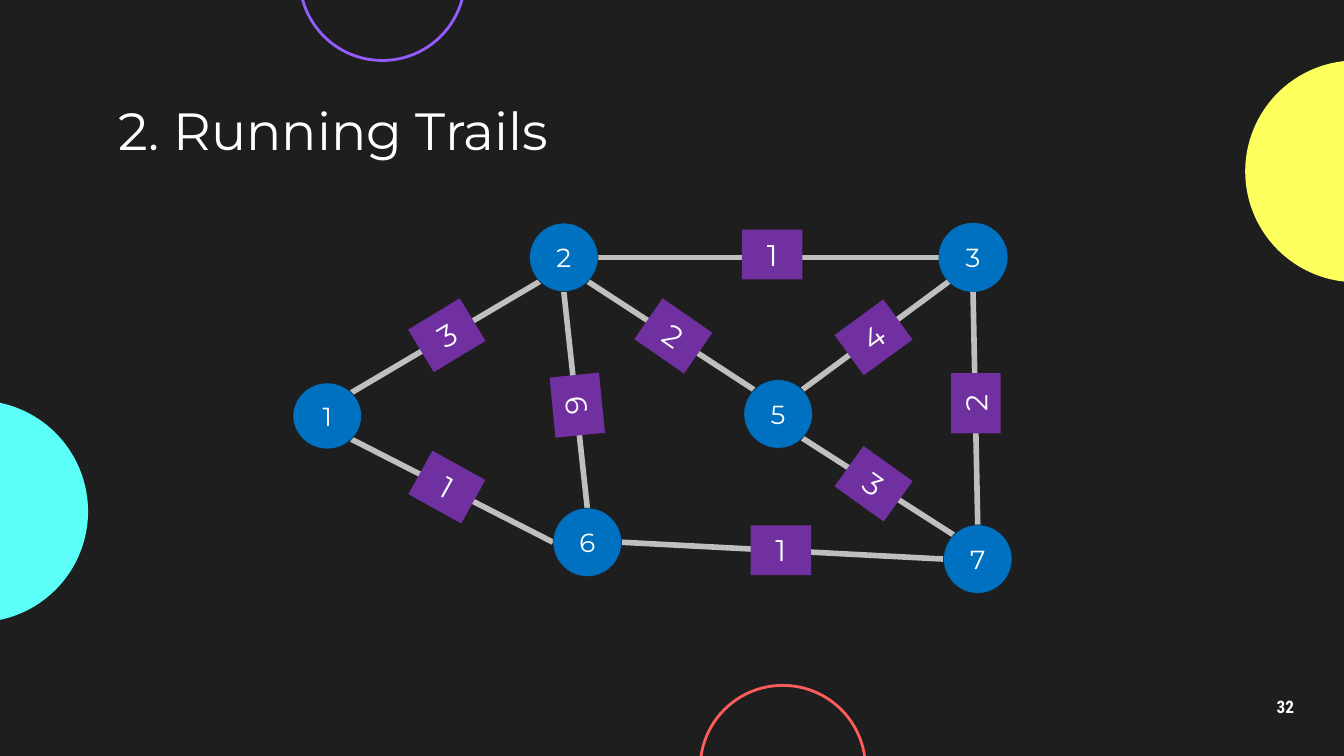
from lxml import etree
from pptx import Presentation
from pptx import util as u
from pptx.dml.color import RGBColor
from pptx.enum import shapes, text
from pptx.oxml.ns import qn

SCALE = 4572
SLIDE = (0, 0, 2000, 1125)
NODE = 102
LABEL_SIZE = (90, 74)
WHITE, DARK, BLUE, PURPLE, GRAY = "FFFFFF", "1E1E1E", "0070C0", "7030A0", "BFBFBF"

DIAGONAL = 0.5 ** 0.5
COMPASS = {
    "N": (0, -1), "S": (0, 1), "W": (-1, 0), "E": (1, 0),
    "NW": (-DIAGONAL, -DIAGONAL), "NE": (DIAGONAL, -DIAGONAL),
    "SW": (-DIAGONAL, DIAGONAL), "SE": (DIAGONAL, DIAGONAL),
}

NODES = {
    "1": (1, 238, NODE, 98),
    "2": (353, 0, NODE, NODE),
    "3": (962, 0, NODE, NODE),
    "5": (672, 233, NODE, NODE),
    "6": (388, 424, NODE, NODE),
    "7": (969, 449, NODE, NODE),
}

TRAILS = [
    ("1", "SE", "6", "W", "1", (185, 356), 29),
    ("6", "N", "2", "S", "6", (379, 234), 84.3),
    ("2", "SE", "5", "NW", "2", (522, 131), 34.7),
    ("3", "W", "2", "E", "1", (669, 10), 0),
    ("3", "SW", "5", "NE", "4", (820, 133), 323.9),
    ("3", "S", "7", "N", "2", (972, 231), 270),
    ("7", "W", "6", "E", "1", (682, 450), 0),
    ("7", "NW", "5", "SE", "3", (820, 351), 35.6),
    ("1", "NE", "2", "SW", "3", (185, 130), 328.8),
]


def px(length):
    """Turn px into EMU."""
    return u.Emu(round(length * SCALE))


def color(value):
    """Turn a hex string into a colour."""
    return RGBColor.from_string(value)


def inside(box, part):
    """Move a part's box into the frame of its region."""
    return (box[0] + part[0], box[1] + part[1], part[2], part[3])


def write(frame, words, size, font, anchor, align, bold=False):
    """Write one white run into a text frame."""
    frame.vertical_anchor = anchor
    paragraph = frame.paragraphs[0]
    paragraph.alignment = align
    run = paragraph.add_run()
    run.text = words
    run.font.size = u.Pt(size)
    run.font.name = font
    run.font.bold = bold
    run.font.color.rgb = color(WHITE)
    return paragraph


def add_figure(slide, preset, box, fill=None, line=None, width=0.25):
    """Add a flat preset shape."""
    figure = slide.shapes.add_shape(preset, *map(px, box))
    figure.shadow.inherit = False
    if fill:
        figure.fill.solid()
        figure.fill.fore_color.rgb = color(fill)
    else:
        figure.fill.background()
    if line:
        figure.line.color.rgb = color(line)
        figure.line.width = u.Pt(width)
    else:
        figure.line.fill.background()
    return figure


def add_text_box(slide, box, words, size, font, align, bold=False):
    """Add a wrapped, vertically centred text box."""
    frame = slide.shapes.add_textbox(*map(px, box)).text_frame
    frame.word_wrap = True
    frame.margin_left = frame.margin_right = px(20)
    frame.margin_top = frame.margin_bottom = px(20)
    return write(frame, words, size, font, text.MSO_ANCHOR.MIDDLE, align, bold)


def add_circles(slide, box):
    """Place the decorative circles along the slide edges."""
    circles = [
        ((-199, 596, 330, 330), "5CFFF8", None),
        ((1853, 90, 330, 330), "FDFF5C", None),
        ((446, -156, 246, 246), None, "955CFF"),
        ((1042, 1020, 246, 246), None, "FF5C5C"),
    ]
    for circle, fill, line in circles:
        add_figure(slide, shapes.MSO_SHAPE.OVAL, inside(box, circle), fill, line, 1.5)


def add_title(slide, box):
    """Place the slide title."""
    add_text_box(slide, box, "2. Running Trails", 28, "Montserrat", text.PP_ALIGN.LEFT)


def add_page_number(slide, box):
    """Place the page number."""
    number = add_text_box(slide, box, "32", 9.2, "Roboto Condensed", text.PP_ALIGN.CENTER, True)
    number.line_spacing = 0.9


def rim_point(box, node, side):
    """Find the point on a node's rim in a compass direction."""
    left, top, width, height = inside(box, NODES[node])
    across, down = COMPASS[side]
    return left + width / 2 * (1 + across), top + height / 2 * (1 + down)


def add_trail(slide, start, end):
    """Draw one trail between two points."""
    trail = slide.shapes.add_connector(
        shapes.MSO_CONNECTOR.STRAIGHT, *map(px, start + end))
    trail.line.color.rgb = color(GRAY)
    trail.line.width = u.Pt(3)
    etree.SubElement(trail._element.spPr, qn("a:effectLst"))


def add_graph(slide, box):
    """Place the weighted graph of trails."""
    for start, start_side, end, end_side, *_ in TRAILS:
        add_trail(slide, rim_point(box, start, start_side), rim_point(box, end, end_side))
    for name, place in NODES.items():
        rim = BLUE if name == "3" else DARK
        node = add_figure(slide, shapes.MSO_SHAPE.OVAL, inside(box, place), BLUE, rim)
        write(node.text_frame, name, 14, "Montserrat",
              text.MSO_ANCHOR.MIDDLE, text.PP_ALIGN.CENTER)
    for *_, weight, corner, angle in TRAILS:
        label = add_figure(slide, shapes.MSO_SHAPE.RECTANGLE,
                           inside(box, corner + LABEL_SIZE), PURPLE)
        label.rotation = angle
        label.text_frame.auto_size = text.MSO_AUTO_SIZE.SHAPE_TO_FIT_TEXT
        write(label.text_frame, weight, 16, "Montserrat",
              text.MSO_ANCHOR.TOP, text.PP_ALIGN.CENTER)


def main():
    """Build and save the slide."""
    deck = Presentation()
    deck.slide_width, deck.slide_height = px(SLIDE[2]), px(SLIDE[3])
    slide = deck.slides.add_slide(deck.slide_layouts[6])
    slide.background.fill.solid()
    slide.background.fill.fore_color.rgb = color(DARK)
    add_circles(slide, SLIDE)
    add_page_number(slide, (1853, 1020, 120, 68))
    add_title(slide, (157, 142, 1688, 102))
    add_graph(slide, (435, 332, 1071, 551))
    deck.save("out.pptx")


if __name__ == "__main__":
    main()
